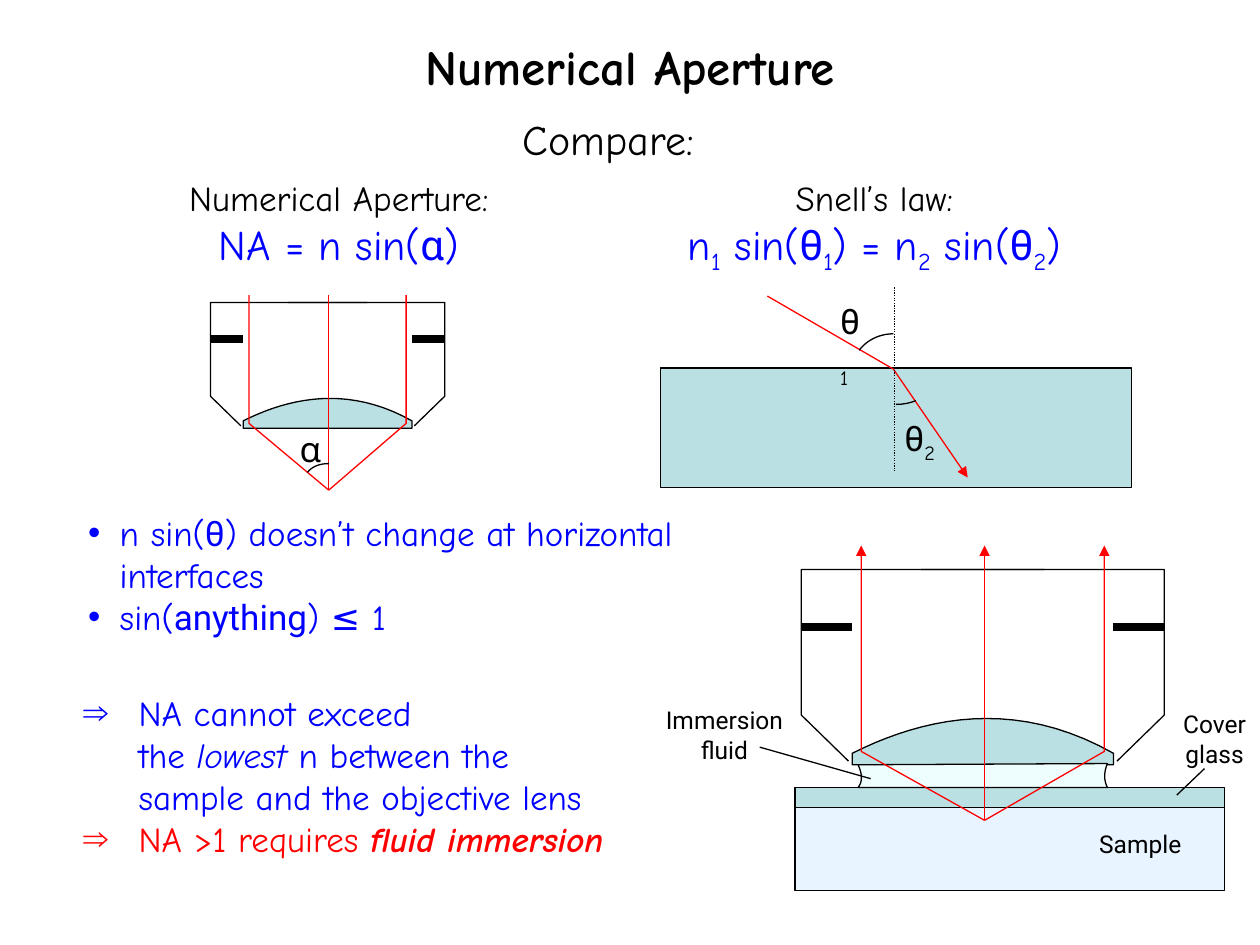
from dataclasses import dataclass

from lxml.etree import SubElement
from pptx import Presentation
from pptx.dml.color import RGBColor
from pptx.enum.dml import MSO_LINE
from pptx.enum.shapes import MSO_CONNECTOR, MSO_SHAPE
from pptx.enum.text import MSO_ANCHOR, MSO_AUTO_SIZE, PP_ALIGN
from pptx.oxml.ns import qn
from pptx.util import Inches, Pt

COLORS = {"black": "000000", "blue": "0000FF", "red": "FF0000", "glass": "BBE0E3",
          "sample": "E8F4FF", "fluid": "EEFEFF"}
HAND, SANS = "Comic Neue", "Roboto"
SUB = {"sub": True}
GREEK = {"font": SANS}


@dataclass
class Box:
    """A region of the slide, in inches."""
    left: float
    top: float
    width: float
    height: float

    def at(self, across, down):
        """Point at a fraction of the box."""
        return self.left + across * self.width, self.top + down * self.height

    def offset(self, right, down):
        """Point at a distance from the top left corner."""
        return self.left + right, self.top + down

    def inner(self, right, down, width, height):
        """Box placed at a distance from the top left corner."""
        return Box(*self.offset(right, down), width, height)

    def emu(self):
        return [Inches(v) for v in (self.left, self.top, self.width, self.height)]


def rgb(name):
    return RGBColor.from_string(COLORS[name])


def write(frame, paragraphs, size=20, font=HAND, color="black", bold=False,
          align=PP_ALIGN.LEFT, anchor=MSO_ANCHOR.TOP, wrap=True):
    """Each paragraph is (runs, options); each run is text or (text, options)."""
    frame.word_wrap = wrap
    frame.auto_size = MSO_AUTO_SIZE.NONE
    frame.vertical_anchor = anchor
    for number, (runs, options) in enumerate(paragraphs):
        para = frame.paragraphs[0] if number == 0 else frame.add_paragraph()
        para.alignment = align
        para.space_before = Pt(0)
        if "indent" in options:
            set_bullet(para, options["indent"], options.get("bullet"))
        for run in runs:
            words, look = (run, {}) if isinstance(run, str) else run
            span = para.add_run()
            span.text = words
            span.font.name = look.get("font", font)
            span.font.size = Pt(options.get("size", size))
            span.font.bold = look.get("bold", bold)
            span.font.italic = look.get("italic", False)
            span.font.color.rgb = rgb(options.get("color", color))
            if look.get("sub"):
                span.font._element.set("baseline", "-25000")


def set_bullet(para, indent, bullet):
    properties = para._p.get_or_add_pPr()
    properties.set("marL", str(Inches(indent)))
    properties.set("indent", str(-Inches(indent) if bullet else 0))
    if bullet:
        SubElement(properties, qn("a:buChar"), char=bullet)
    else:
        SubElement(properties, qn("a:buNone"))


def add_text(page, box, paragraphs, **form):
    write(page.shapes.add_textbox(*box.emu()).text_frame, paragraphs, **form)


def fill_placeholder(holder, box, paragraphs, **form):
    holder.left, holder.top, holder.width, holder.height = box.emu()
    write(holder.text_frame, paragraphs, **form)


def style_line(line, color, width=0.75, arrow=False):
    line.color.rgb = rgb(color)
    line.width = Pt(width)
    if arrow:
        SubElement(line._get_or_add_ln(), qn("a:tailEnd"), type="triangle")


def add_rectangle(page, box, fill):
    shape = page.shapes.add_shape(MSO_SHAPE.RECTANGLE, *box.emu())
    shape.shadow.inherit = False
    shape.fill.solid()
    shape.fill.fore_color.rgb = rgb(fill)
    style_line(shape.line, "black")


def add_line(page, start, end, color="black", width=0.75, arrow=False):
    line = page.shapes.add_connector(MSO_CONNECTOR.STRAIGHT, *map(Inches, start + end))
    SubElement(line._element.spPr, qn("a:effectLst"))
    style_line(line.line, color, width, arrow)
    return line


def add_outline(page, points, color="black", fill=None, arrow=False):
    corners = [(Inches(x), Inches(y)) for x, y in points]
    builder = page.shapes.build_freeform(*corners[0])
    builder.add_line_segments(corners[1:], close=fill is not None)
    shape = builder.convert_to_shape()
    shape.shadow.inherit = False
    if fill:
        shape.fill.solid()
        shape.fill.fore_color.rgb = rgb(fill)
    else:
        shape.fill.background()
    style_line(shape.line, color, arrow=arrow)


def curve(*controls, steps=20):
    """Points along a cubic curve given by its four control points."""
    points = []
    for step in range(steps + 1):
        t = step / steps
        weights = ((1 - t) ** 3, 3 * t * (1 - t) ** 2, 3 * t * t * (1 - t), t ** 3)
        points.append(tuple(sum(w * c[axis] for w, c in zip(weights, controls))
                            for axis in (0, 1)))
    return points


def draw_objective(page, box):
    """Lens, aperture stops and the two halves of the housing."""
    dome = curve(box.at(0.86, 0.96), box.at(0.59, 0.67), box.at(0.34, 0.77), box.at(0.14, 0.96))
    add_outline(page, [box.at(0.14, 1.02), box.at(0.86, 1.02)] + dome, fill="glass")
    for side in (lambda x: x, lambda x: 1 - x):
        add_line(page, box.at(side(0), 0.3), box.at(side(0.14), 0.3), width=4.5)
        housing = [(0.13, 1), (0, 0.76), (0, 0), (0.67, 0)]
        add_outline(page, [box.at(side(x), y) for x, y in housing])


def draw_rays(page, box, focus, bend, top, arrow=False):
    """Outer and middle rays between the focus and the space above the lens."""
    for x in (0.165, 0.835):
        add_outline(page, [box.at(0.505, focus), box.at(x, bend), box.at(x, top)],
                    color="red", arrow=arrow)
    add_line(page, box.at(0.505, focus), box.at(0.505, top), color="red", arrow=arrow)


def draw_aperture(page, box):
    draw_objective(page, box)
    draw_rays(page, box, focus=1.52, bend=0.98, top=-0.06)
    add_outline(page, curve(box.offset(0.77, 1.35), box.offset(0.81, 1.3),
                            box.offset(0.87, 1.28), box.offset(0.94, 1.28)))
    add_text(page, box.inner(0.61, 0.94, 0.38, 0.43), [(["α"], {})], wrap=False)


def draw_refraction(page, box):
    add_rectangle(page, box, "glass")
    hit = box.offset(1.85, 0.01)
    add_outline(page, [box.offset(0.85, -0.57), hit, box.offset(2.44, 0.87)],
                color="red", arrow=True)
    normal = add_line(page, box.offset(1.86, -0.64), box.offset(1.86, 0.82))
    normal.line.dash_style = MSO_LINE.ROUND_DOT
    # Angle arcs and their labels
    add_outline(page, curve(box.offset(1.58, -0.14), box.offset(1.64, -0.22),
                            box.offset(1.74, -0.27), box.offset(1.85, -0.27)))
    add_outline(page, curve(box.offset(2.03, 0.26), box.offset(1.98, 0.28),
                            box.offset(1.93, 0.29), box.offset(1.87, 0.29)))
    add_text(page, box.inner(1.33, -0.59, 0.41, 0.43), [([("θ", GREEK), ("1", SUB)], {})])
    add_text(page, box.inner(1.84, 0.34, 0.45, 0.43), [([("θ", GREEK), ("2", SUB)], {})],
             wrap=False)


def draw_immersion(page, box):
    """Box spans the sample and cover glass; the objective stands above it."""
    add_rectangle(page, box.inner(0, 0.14, box.width, 0.68), "sample")
    add_rectangle(page, box.inner(0, 0, box.width, 0.16), "glass")
    objective = box.inner(0.05, -1.73, 2.88, 1.52)
    draw_objective(page, objective)
    # Fluid between lens and cover glass
    right = curve(box.offset(2.48, -0.19), box.offset(2.48, -0.19),
                  box.offset(2.43, -0.09), box.offset(2.48, 0))
    left = curve(box.offset(0.5, 0), box.offset(0.56, -0.07),
                 box.offset(0.5, -0.18), box.offset(0.5, -0.18))
    add_outline(page, right + left, fill="fluid")
    draw_rays(page, objective, focus=1.31, bend=0.95, top=-0.125, arrow=True)
    # Labels and leaders
    for place, lines in (((2.58, -0.67, 1.5, 0.57), ["Cover", "glass"]),
                         ((1.99, 0.28, 1.5, 0.33), ["Sample"]),
                         ((-1.31, -0.7, 1.5, 0.57), ["Immersion fluid"])):
        add_text(page, box.inner(*place), [([line], {}) for line in lines],
                 size=14, font=SANS, align=PP_ALIGN.CENTER)
    add_line(page, box.offset(3.25, -0.15), box.offset(3.03, 0.06))
    add_line(page, box.offset(-0.28, -0.32), box.offset(0.6, -0.07))


def write_formula(page, box, heading, formula):
    add_text(page, box, [([heading], {}), (formula, {"size": 24, "color": "blue"})],
             align=PP_ALIGN.CENTER)


def write_lists(facts, conclusions, box):
    dot, arrow = {"indent": 0.25, "bullet": "•"}, {"indent": 0.44, "bullet": "⇒"}
    fill_placeholder(facts, box.inner(0.04, 0, 4.98, 1.15), [
        (["n sin(", ("θ", GREEK), ") doesn’t change at horizontal interfaces"], dot),
        (["sin(", ("anything", GREEK), ") ≤ 1"], dot)], color="blue")
    fill_placeholder(conclusions, box.inner(0, 1.43, 5.9, 1.5), [
        (["NA cannot exceed"], arrow),
        (["the ", ("lowest", {"italic": True}), " n between the"], {"indent": 0.44}),
        (["sample and the objective lens"], {"indent": 0.44}),
        (["NA >1 requires ", ("fluid immersion", {"bold": True, "italic": True})],
         {**arrow, "color": "red"})], color="blue")


def main():
    deck = Presentation()
    deck.slide_width, deck.slide_height = Inches(10), Inches(7.5)
    page = deck.slides.add_slide(deck.slide_layouts[3])
    # Each layout footer stays on the layout, so three placeholders remain
    title, facts, conclusions = list(page.placeholders)[:3]
    fill_placeholder(title, Box(0.75, 0, 8.5, 1.05), [(["Numerical Aperture"], {})],
                     size=28, bold=True, align=PP_ALIGN.CENTER, anchor=MSO_ANCHOR.MIDDLE)
    add_text(page, Box(4.05, 0.85, 1.58, 0.52), [(["Compare:"], {})], size=24, wrap=False)
    write_formula(page, Box(0.86, 1.35, 3.66, 0.87), "Numerical Aperture:",
                  ["NA = n sin(", ("α", GREEK), ")"])
    write_formula(page, Box(5.11, 1.35, 3.66, 0.87), "Snell’s law:",
                  ["n", ("1", SUB), " sin(", ("θ", GREEK), ("1", SUB), ") = n", ("2", SUB),
                   " sin(", ("θ", GREEK), ("2", SUB), ")"])
    draw_aperture(page, Box(1.67, 2.4, 1.86, 0.98))
    draw_refraction(page, Box(5.24, 2.92, 3.74, 0.95))
    write_lists(facts, conclusions, Box(0.56, 4.01, 5.9, 2.93))
    draw_immersion(page, Box(6.31, 6.25, 3.41, 0.82))
    deck.save("out.pptx")


if __name__ == "__main__":
    main()
